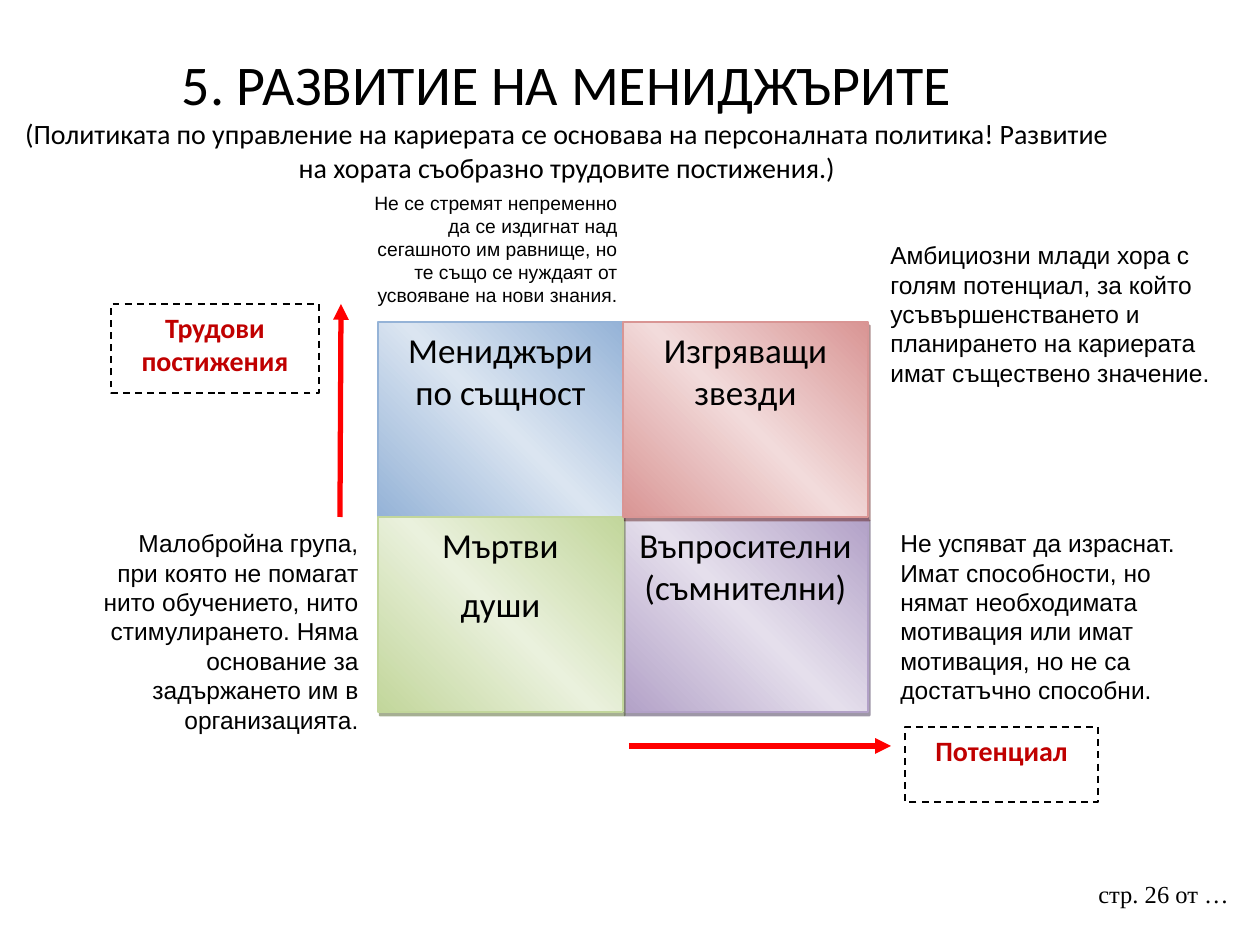
"""Build the slide on developing managers: a performance and potential matrix."""
from dataclasses import dataclass

from lxml import etree
from pptx import Presentation
from pptx.dml.color import RGBColor
from pptx.enum.dml import MSO_LINE
from pptx.enum.shapes import MSO_CONNECTOR, MSO_SHAPE
from pptx.enum.text import MSO_ANCHOR, PP_ALIGN
from pptx.oxml import parse_xml
from pptx.oxml.ns import nsdecls, qn
from pptx.util import Pt

LEFT, CENTER, RIGHT = PP_ALIGN.LEFT, PP_ALIGN.CENTER, PP_ALIGN.RIGHT
TOP, MIDDLE = MSO_ANCHOR.TOP, MSO_ANCHOR.MIDDLE
RECTANGLE, STRAIGHT, DASH = MSO_SHAPE.RECTANGLE, MSO_CONNECTOR.STRAIGHT, MSO_LINE.DASH


@dataclass(frozen=True)
class Theme:
    text: str = "000000"
    paper: str = "FFFFFF"
    arrow: str = "FF0000"
    axis: str = "C00000"
    heading_font: str = "Calibri"
    note_font: str = "Arial"
    footer_font: str = "Times New Roman"
    title_size: int = 32
    quadrant_size: int = 20
    label_size: int = 16
    note_size: int = 14
    small_size: int = 11
    paragraph_gap: int = 10


THEME = Theme()
EMU_PER_PX = 914400 / 126
SLIDE_SIZE = (1260, 945)

TITLE = "5. РАЗВИТИЕ НА МЕНИДЖЪРИТЕ"
SUBTITLE = ("(Политиката по управление на кариерата се основава на персоналната политика! "
            "Развитие на хората съобразно трудовите постижения.)")
TITLE_BOX = (0, 38, 1134, 157)
FOOTER = "стр. 26 от …"
FOOTER_BOX = (1086, 873, 164, 66)

MATRIX_ORIGIN = (378, 322)
QUADRANT_SIZE = (245, 195)
QUADRANTS = [
    (1, 1, ["Въпросителни (съмнителни)"], "B2A1C7", "E5DFEC", "3F3151"),
    (0, 0, ["Мениджъри по същност"], "95B3D7", "DBE5F1", "243F60"),
    (0, 1, ["Мъртви", "души"], "C2D69B", "EAF1DD", "4E6128"),
    (1, 0, ["Изгряващи звезди"], "D99594", "F2DBDB", "622423"),
]
ARROWS = [(629, 746, 891, 746), (340, 517, 341, 304)]
AXIS_LABELS = [
    ("Потенциал", (905, 727, 193, 75)),
    ("Трудови постижения", (111, 304, 208, 89)),
]
NOTES = [
    ("Амбициозни млади хора с голям потенциал, за който усъвършенстването и "
     "планирането на кариерата имат съществено значение.",
     (878, 234, 348, 161), LEFT, THEME.note_size),
    ("Не се стремят непременно да се издигнат над сегашното им равнище, но те също "
     "се нуждаят от усвояване на нови знания.",
     (343, 185, 287, 130), RIGHT, THEME.small_size),
    ("Не успяват да израснат. Имат способности, но нямат необходимата мотивация или "
     "имат мотивация, но не са достатъчно способни.",
     (888, 522, 307, 190), LEFT, THEME.note_size),
    ("Малобройна група, при която не помагат нито обучението, нито стимулирането. "
     "Няма основание за задържането им в организацията.",
     (84, 522, 287, 221), RIGHT, THEME.note_size),
]


def px(*lengths):
    return [round(length * EMU_PER_PX) for length in lengths]


def rgb(color):
    return RGBColor.from_string(color)


def write(shape, lines, font, size, align, color=THEME.text, bold=False, gap=0, anchor=TOP):
    frame = shape.text_frame
    frame.word_wrap = True
    frame.vertical_anchor = anchor
    frame.text = "\n".join(lines)
    for paragraph in frame.paragraphs:
        paragraph.alignment = align
        paragraph.space_after = Pt(gap)
        paragraph.font.name = font
        paragraph.font.size = Pt(size)
        paragraph.font.bold = bold
        paragraph.font.color.rgb = rgb(color)


def add_box(slide, box, line_color):
    shape = slide.shapes.add_shape(RECTANGLE, *px(*box))
    shape.shadow.inherit = False
    shape.line.color.rgb = rgb(line_color)
    shape.line.width = Pt(1)
    return shape


def add_title(slide):
    shape = slide.shapes.add_textbox(*px(*TITLE_BOX))
    write(shape, [TITLE], THEME.heading_font, THEME.title_size, CENTER, anchor=MIDDLE)
    paragraph = shape.text_frame.paragraphs[0]
    paragraph.add_line_break()
    subtitle = paragraph.add_run()
    subtitle.text = SUBTITLE
    subtitle.font.size = Pt(THEME.label_size)


def add_quadrant(slide, column, row, lines, edge, middle, shadow):
    width, height = QUADRANT_SIZE
    left, top = MATRIX_ORIGIN
    shape = add_box(slide, (left + column * width, top + row * height, width, height), edge)
    shape.fill.gradient()
    properties = shape.element.spPr
    stops = "".join(
        f'<a:gs pos="{position}"><a:srgbClr val="{color}"/></a:gs>'
        for position, color in ((0, edge), (50000, middle), (100000, edge)))
    gradient = parse_xml(f'<a:gradFill {nsdecls("a")} rotWithShape="1"><a:gsLst>{stops}</a:gsLst>'
                         '<a:lin ang="18900000" scaled="1"/></a:gradFill>')
    properties.replace(properties.find(qn("a:gradFill")), gradient)
    effects = properties.find(qn("a:effectLst"))
    effects.append(parse_xml(
        f'<a:outerShdw {nsdecls("a")} dist="28400" dir="3806000" algn="ctr" rotWithShape="0">'
        f'<a:srgbClr val="{shadow}"><a:alpha val="50000"/></a:srgbClr></a:outerShdw>'))
    write(shape, lines, THEME.heading_font, THEME.quadrant_size, CENTER, gap=THEME.paragraph_gap)


def add_arrow(slide, ends):
    arrow = slide.shapes.add_connector(STRAIGHT, *px(*ends))
    arrow.line.color.rgb = rgb(THEME.arrow)
    arrow.line.width = Pt(3)
    etree.SubElement(arrow.line._get_or_add_ln(), qn("a:tailEnd"), type="triangle")
    etree.SubElement(arrow.element.spPr, qn("a:effectLst"))


def add_axis_label(slide, text, box):
    shape = add_box(slide, box, THEME.text)
    shape.line.dash_style = DASH
    shape.fill.solid()
    shape.fill.fore_color.rgb = rgb(THEME.paper)
    write(shape, [text], THEME.heading_font, THEME.label_size, CENTER, THEME.axis,
          bold=True, gap=THEME.paragraph_gap)


def add_text(slide, text, box, align, size, font=THEME.note_font):
    write(slide.shapes.add_textbox(*px(*box)), [text], font, size, align)


def main():
    presentation = Presentation()
    presentation.slide_width, presentation.slide_height = px(*SLIDE_SIZE)
    slide = presentation.slides.add_slide(presentation.slide_layouts[6])
    add_text(slide, FOOTER, FOOTER_BOX, LEFT, THEME.note_size, THEME.footer_font)
    add_title(slide)
    for quadrant in QUADRANTS:
        add_quadrant(slide, *quadrant)
    for ends in ARROWS:
        add_arrow(slide, ends)
    for label in AXIS_LABELS:
        add_axis_label(slide, *label)
    for note in NOTES:
        add_text(slide, *note)
    presentation.save("out.pptx")


if __name__ == "__main__":
    main()
